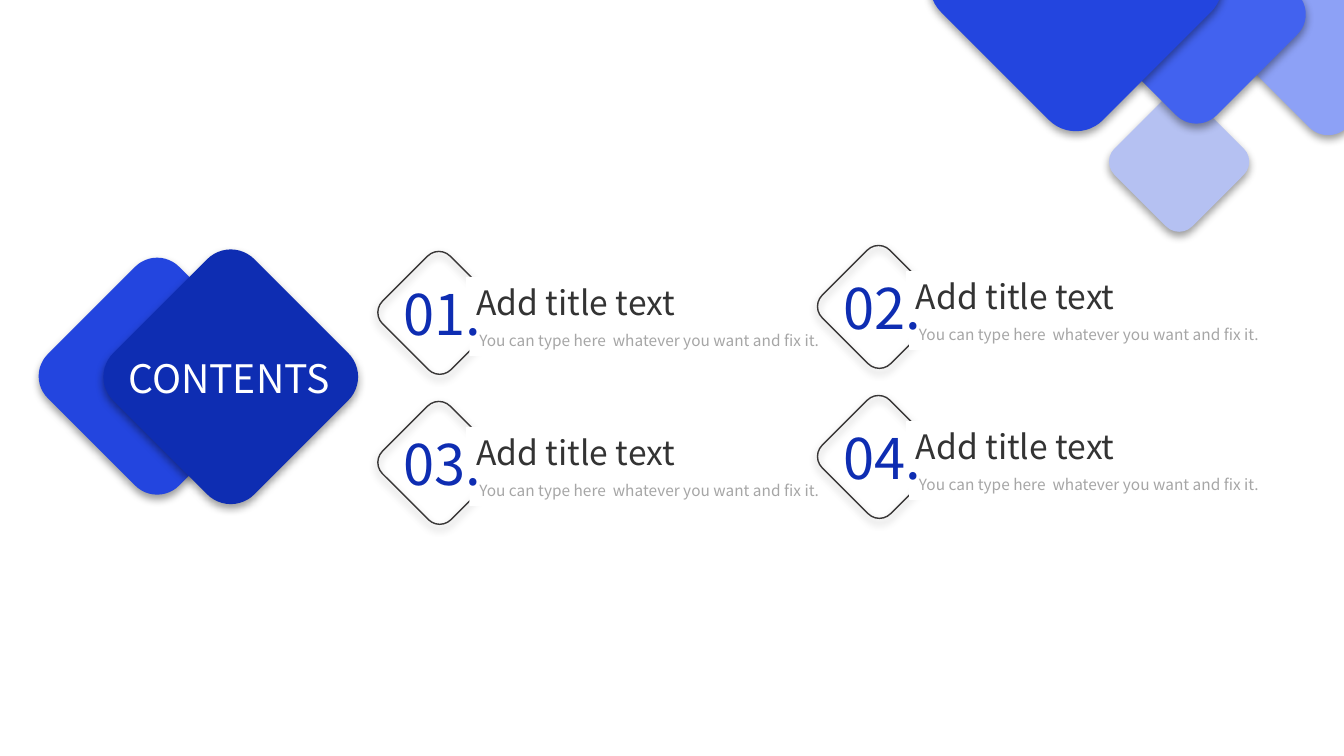
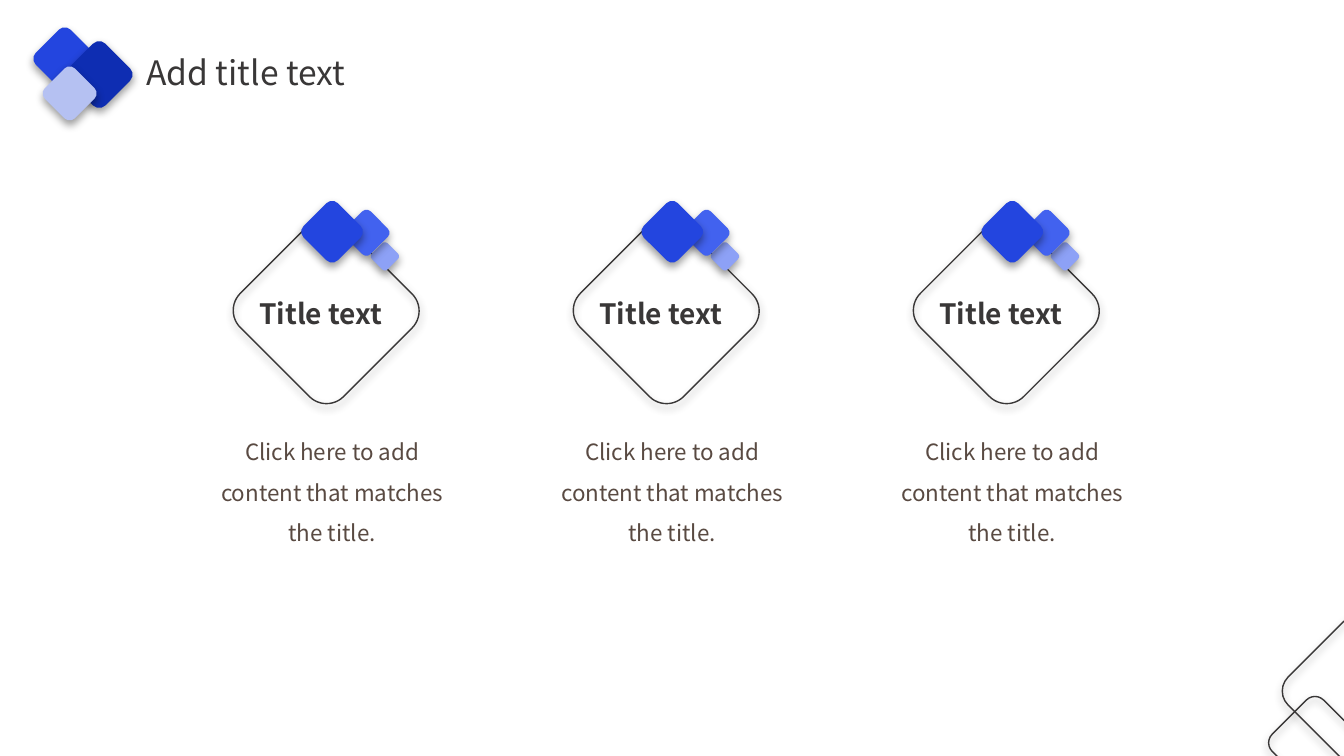
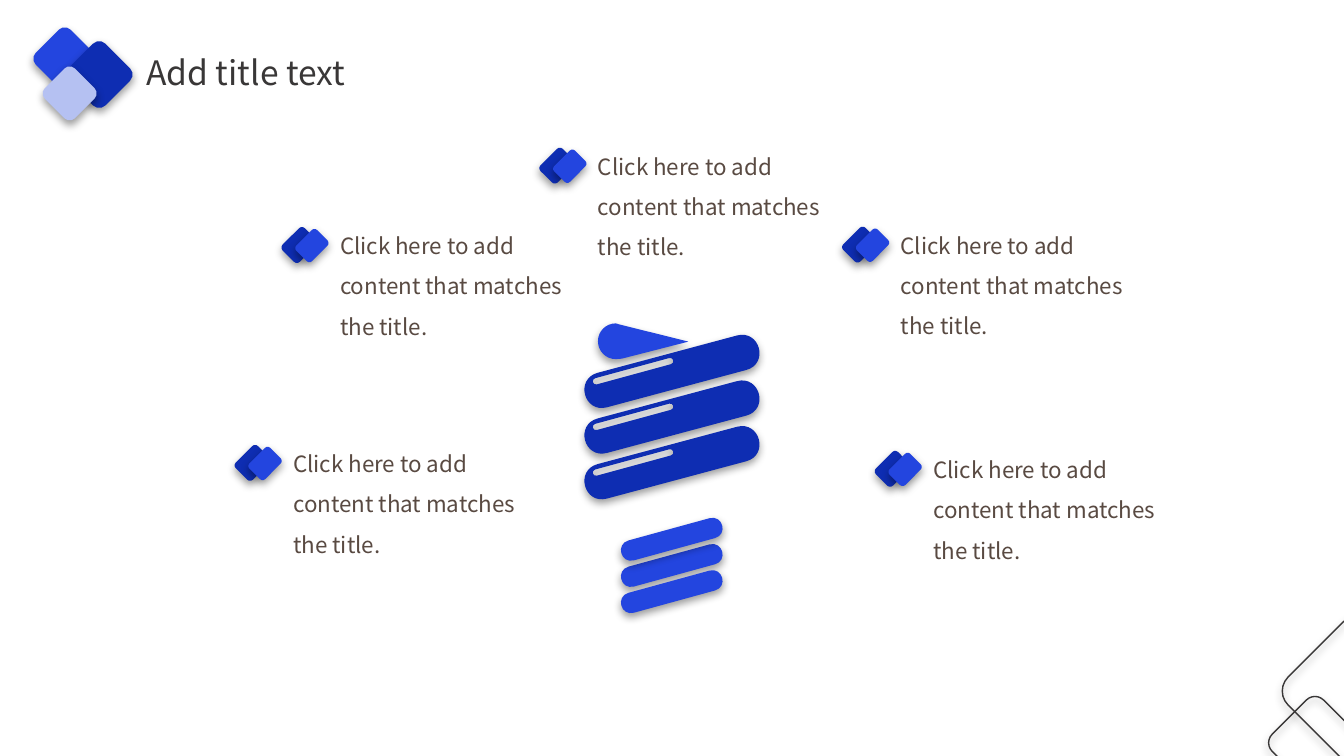
from math import hypot

from lxml import etree
from pptx import Presentation
from pptx.dml.color import RGBColor
from pptx.enum.shapes import MSO_SHAPE
from pptx.enum.text import MSO_AUTO_SIZE, PP_ALIGN
from pptx.oxml.ns import qn
from pptx.util import Cm, Pt

ROUND = MSO_SHAPE.ROUNDED_RECTANGLE
GROW = MSO_AUTO_SIZE.SHAPE_TO_FIT_TEXT
LEFT, MID = PP_ALIGN.LEFT, PP_ALIGN.CENTER

FONT = "Noto Sans CJK SC"
NAVY, BLUE, SKY = "0E2DB2", "2345DF", "4262EF"
PALE, MIST, WHITE = "8DA1F6", "B5C1F2", "FFFFFF"
INK, DARK, BROWN, GREY = "393737", "333333", "594A42", "A6A6A6"

TITLE = "Add title text"
BODY = "Click here to add content that matches the title."
HINT = "You can type here  whatever you want and fix it."


def rgb(code):
    return RGBColor.from_string(code)


def pill(x1, y1, x2, y2, r, side=1):
    """Path of a slanted bar with round ends; side -1 turns the other way."""
    span = hypot(x2 - x1, y2 - y1)
    ux, uy = (x2 - x1) / span * r, (y2 - y1) / span * r
    nx, ny = -uy * side, ux * side

    def at(x, y, across, along):
        return x + across * nx + along * ux, y + across * ny + along * uy

    def cap(x, y, turn):
        return [at(x, y, turn, -turn * 4 / 3), at(x, y, -turn, -turn * 4 / 3),
                at(x, y, -turn, 0)]

    return [[at(x1, y1, 1, 0)], cap(x1, y1, 1), [at(x2, y2, -1, 0)],
            cap(x2, y2, -1)]


class Deck:
    def __init__(self):
        self.prs = Presentation()
        self.prs.slide_width, self.prs.slide_height = Cm(33.87), Cm(19.05)
        self.slide = None

    def page(self):
        self.slide = self.prs.slides.add_slide(self.prs.slide_layouts[6])

    def paint(self, shape, fill):
        """Fill the shape, or outline it if there is no fill; add the shadow."""
        if fill:
            shape.fill.solid()
            shape.fill.fore_color.rgb = rgb(fill)
            shape.line.fill.background()
        else:
            shape.fill.background()
            shape.line.color.rgb = rgb(INK)
            shape.line.width = Pt(1)
        shape.shadow.inherit = False
        effect = shape.element.spPr.find(qn("a:effectLst"))
        shade = etree.SubElement(
            effect, qn("a:outerShdw"), blurRad=str(Pt(6)), dist=str(Pt(3)),
            dir="5400000", algn="t", rotWithShape="0")
        color = etree.SubElement(shade, qn("a:srgbClr"), val="000000")
        etree.SubElement(color, qn("a:alpha"), val="39000")

    def gem(self, x, y, w, h=None, fill=None):
        """Rounded square turned on its corner."""
        shape = self.slide.shapes.add_shape(
            ROUND, Cm(x), Cm(y), Cm(w), Cm(h or w))
        shape.rotation = 45
        self.paint(shape, fill)

    def free(self, fill, x, y, w, h, *loops):
        """Curved outline in a frame; each later loop is a hole."""
        pen = self.slide.shapes.build_freeform(Cm(x), Cm(y))
        pen.add_line_segments([(Cm(x + w), Cm(y)), (Cm(x + w), Cm(y + h))])
        shape = pen.convert_to_shape()
        track = next(shape.element.iter(qn("a:pathLst")))[0]
        for step in list(track):
            track.remove(step)
        for loop in loops:
            for i, points in enumerate(loop):
                kind = "cubicBezTo" if len(points) == 3 else "lnTo"
                step = etree.SubElement(
                    track, qn(f"a:{kind if i else 'moveTo'}"))
                for px, py in points:
                    etree.SubElement(step, qn("a:pt"), x=str(Cm(px - x)),
                                     y=str(Cm(py - y)))
            etree.SubElement(track, qn("a:close"))
        self.paint(shape, fill)

    def text(self, x, y, w, h, words, size, color, align=LEFT, wrap=False,
             bold=False, lead=None, fill=None):
        box = self.slide.shapes.add_textbox(Cm(x), Cm(y), Cm(w), Cm(h))
        if fill:
            box.fill.solid()
            box.fill.fore_color.rgb = rgb(fill)
        frame = box.text_frame
        frame.word_wrap = wrap
        frame.auto_size = GROW
        para = frame.paragraphs[0]
        para.text = words
        para.alignment = align
        para.line_spacing = lead
        font = para.font
        font.name, font.size, font.bold = FONT, Pt(size), bold
        font.color.rgb = rgb(color)

    def body(self, x, y, w, h, align=LEFT):
        self.text(x, y, w, h, BODY, 16, BROWN, align, wrap=True, lead=1.5)

    def head(self):
        """New page with the title and the corner ornaments."""
        self.page()
        self.gem(1.01, 0.86, 1.24, fill=BLUE)
        self.gem(1.84, 1.22, 1.32, fill=NAVY)
        self.gem(1.22, 1.82, 1.07, fill=MIST)
        self.text(3.44, 1.19, 5.84, 1.27, TITLE, 24, INK)
        self.gem(32.22, 17.81, 1.85, 1.83)
        self.gem(32.72, 15.94, 3, 2.97)

    def entry(self, x, y, label):
        """Numbered line of the contents."""
        self.gem(x, y, 2.44, 2.41)
        self.text(x + 1.98, y + 1.55, 9.65, 0.74, HINT, 11, GREY,
                  wrap=True, fill=WHITE)
        self.text(x + 1.9, y + 0.3, 5.84, 1.27, TITLE, 24, DARK, fill=WHITE)
        self.text(x + 0.07, y + 0.25, 2.54, 1.96, label, 40, NAVY)

    def card(self, x):
        """Outlined diamond with a heading and a text below."""
        self.gem(x, 6, 3.68, 3.66)
        self.gem(x + 3.04, 6.18, 0.56, fill=PALE)
        self.gem(x + 2.4, 5.41, 0.91, fill=SKY)
        self.gem(x + 1.38, 5.23, 1.22, fill=BLUE)
        self.text(x - 0.15, 7.35, 3.71, 1.12, "Title text", 20, INK, MID,
                  bold=True)
        self.body(x - 1.49, 10.59, 6.96, 3.33, MID)

    def note(self, x, y):
        """Text with a double diamond as its marker."""
        self.body(x, y, 6.38, 4.24)
        self.gem(x - 1.08, y + 0.39, 0.61, 0.79, NAVY)
        self.gem(x - 0.74, y + 0.43, 0.56, 0.74, BLUE)

    def bulb(self):
        """Light bulb made of slanted bars."""
        for row in (1, 2, 0):
            y = 12.99 + row * 0.66
            self.free(BLUE, 15.52, y, 2.84, 1.23,
                      pill(15.91, y + 0.88, 17.95, y + 0.32, 0.26))
        self.free(BLUE, 15.07, 8.15, 2.28, 0.9, [
            [(15.52, 8.15)], [(15.62, 8.18)], [(17.35, 8.61)],
            [(15.67, 9.04)], [(15.52, 9.05)],
            [(15.27, 9.05), (15.07, 8.85), (15.07, 8.6)],
            [(15.07, 8.35), (15.27, 8.15), (15.52, 8.15)]])
        for row in range(3):
            y = 8.44 + row * 1.15
            self.free(NAVY, 14.73, y, 4.42, 1.85,
                      pill(15.18, y + 1.39, 18.69, y + 0.45, 0.45),
                      pill(15.02, y + 1.17, 16.89, y + 0.66, 0.08, -1))


def main():
    deck = Deck()

    # Contents
    deck.page()
    deck.gem(1.62, 7.14, 4.68, fill=BLUE)
    deck.gem(3.3, 6.98, 5.03, fill=NAVY)
    deck.text(-0.2, 8.8, 11.94, 1.45, "CONTENTS", 28, WHITE, MID, wrap=True)
    for i in range(4):
        row, col = divmod(i, 2)
        deck.entry(9.85 + col * 11.08, 6.68 + row * 3.78 - col * 0.15,
                   f"0{i + 1}.")
    deck.gem(31.45, -1.19, 4.04, fill=PALE)
    deck.gem(28.33, 2.69, 2.77, fill=MIST)
    deck.gem(27.99, -1.8, 4.32, fill=SKY)
    deck.gem(24.23, -3.26, 5.77, fill=BLUE)

    # Three cards
    deck.head()
    for i in range(3):
        deck.card(6.38 + i * 8.57)

    # Bulb with notes
    deck.head()
    deck.bulb()
    for x, y in ((7.14, 10.88), (8.32, 5.39), (14.82, 3.39),
                 (22.45, 5.38), (23.27, 11.03)):
        deck.note(x, y)

    deck.prs.save("out.pptx")


if __name__ == "__main__":
    main()
